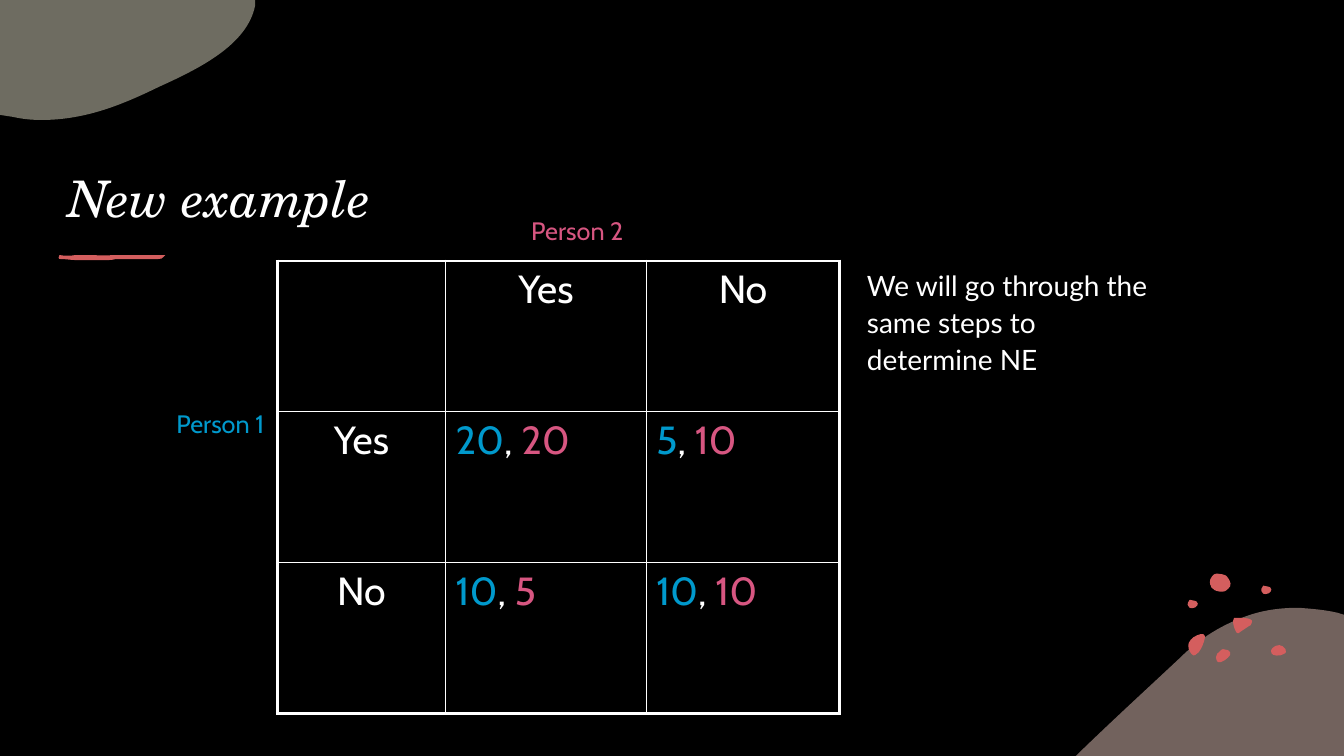
from lxml import etree
from pptx import Presentation
from pptx.dml.color import RGBColor
from pptx.enum import text
from pptx.oxml import ns
from pptx.util import Inches, Pt

WHITE, BLUE, PINK, CORAL = "FFFFFF", "0099CC", "D75681", "D45E5E"
rgb = RGBColor.from_string

prs = Presentation()
prs.slide_width, prs.slide_height = Inches(13.33), Inches(7.5)
s = prs.slides.add_slide(prs.slide_layouts[6])
s.background.fill.solid()
s.background.fill.fore_color.rgb = rgb("000000")


def add_blob(shapes, start, segments, color, alpha=None, dx=0, dy=0):
    """Segments hold one point for a line, three for a cubic curve."""
    points = [start]
    for seg in segments:
        points += zip(seg[::2], seg[1::2])
    emu = [(Inches(x + dx), Inches(y + dy)) for x, y in points]
    fb = shapes.build_freeform(*emu[0])
    fb.add_line_segments(emu[1:], close=True)
    sp = fb.convert_to_shape()
    sp.shadow.inherit = False
    sp.fill.solid()
    sp.fill.fore_color.rgb = rgb(color)
    sp.line.fill.background()
    # Turn each run of three points into one curve
    lines = iter(list(sp._element.iter(ns.qn("a:lnTo"))))
    for seg in segments:
        first = next(lines)
        if len(seg) == 6:
            first.tag = ns.qn("a:cubicBezTo")
            for extra in (next(lines), next(lines)):
                first.append(extra[0])
                extra.getparent().remove(extra)
    if alpha:
        clr = sp.fill._xPr.find(".//" + ns.qn("a:srgbClr"))
        etree.SubElement(clr, ns.qn("a:alpha"), val=str(alpha * 1000))


def add_runs(p, runs, size, font, italic=False):
    for words, color in runs:
        r = p.add_run()
        r.text = words
        r.font.size, r.font.name, r.font.italic = Pt(size), font, italic
        r.font.color.rgb = rgb(color)


# Bottom right blob
add_blob(s.shapes, (12.88, 6.03), [
    (13.01, 6.04, 13.14, 6.05, 13.27, 6.08), (13.33, 6.1), (13.33, 7.5), (10.67, 7.5),
    (11.02, 7.16, 11.37, 6.84, 11.69, 6.54), (11.91, 6.32, 12.14, 6.19, 12.37, 6.11),
    (12.54, 6.05, 12.71, 6.03, 12.88, 6.03)], "E5C4BA", 50)

# Coral spots
spots = [
    ((12.13, 6.44), [
        (12.15, 6.44, 12.16, 6.44, 12.18, 6.45), (12.2, 6.46, 12.21, 6.48, 12.2, 6.5),
        (12.18, 6.53, 12.12, 6.58, 12.08, 6.57), (12.07, 6.56, 12.06, 6.54, 12.06, 6.52),
        (12.06, 6.5, 12.08, 6.47, 12.1, 6.46), (12.11, 6.45, 12.12, 6.44, 12.13, 6.44)]),
    ((11.91, 6.29), [
        (11.93, 6.29, 11.95, 6.29, 11.95, 6.31), (11.95, 6.32, 11.95, 6.32, 11.95, 6.33),
        (11.94, 6.38, 11.92, 6.43, 11.89, 6.47), (11.87, 6.49, 11.84, 6.52, 11.82, 6.49),
        (11.79, 6.46, 11.78, 6.41, 11.79, 6.38), (11.8, 6.35, 11.82, 6.34, 11.84, 6.32),
        (11.85, 6.32, 11.88, 6.29, 11.91, 6.29)]),
    ((12.69, 6.4), [
        (12.71, 6.4, 12.74, 6.42, 12.75, 6.44), (12.76, 6.46, 12.76, 6.48, 12.73, 6.49),
        (12.7, 6.51, 12.62, 6.51, 12.61, 6.48), (12.6, 6.46, 12.61, 6.44, 12.62, 6.43),
        (12.64, 6.41, 12.66, 6.4, 12.69, 6.4)]),
    ((12.01, 5.81), [
        (12, 5.81, 11.99, 5.75, 12.02, 5.72), (12.04, 5.7, 12.04, 5.69, 12.07, 5.69),
        (12.1, 5.69, 12.14, 5.7, 12.16, 5.71), (12.18, 5.73, 12.22, 5.78, 12.2, 5.82),
        (12.17, 5.85, 12.16, 5.87, 12.12, 5.87), (12.09, 5.87, 12.04, 5.86, 12.03, 5.84),
        (12.01, 5.83, 12.01, 5.82, 12.01, 5.81)]),
    ((12.28, 6.13), [
        (12.34, 6.13, 12.45, 6.13, 12.41, 6.19), (12.41, 6.2, 12.4, 6.21, 12.39, 6.21),
        (12.36, 6.23, 12.33, 6.25, 12.3, 6.27), (12.29, 6.28, 12.28, 6.29, 12.27, 6.28),
        (12.27, 6.28, 12.26, 6.27, 12.26, 6.27), (12.24, 6.23, 12.23, 6.2, 12.23, 6.16),
        (12.23, 6.15, 12.23, 6.14, 12.24, 6.13), (12.25, 6.13, 12.27, 6.13, 12.28, 6.13)]),
]
spot_group = s.shapes.add_group_shape()
for start, segments in spots:
    add_blob(spot_group.shapes, start, segments, CORAL)
for dx, dy in [(0, 0), (-0.73, 0.14)]:
    add_blob(spot_group.shapes, (12.51, 5.86), [
        (12.51, 5.86, 12.51, 5.82, 12.53, 5.81), (12.55, 5.81, 12.56, 5.81, 12.58, 5.82),
        (12.59, 5.82, 12.61, 5.83, 12.61, 5.85), (12.61, 5.86, 12.6, 5.88, 12.59, 5.88),
        (12.59, 5.88, 12.59, 5.89, 12.57, 5.89), (12.56, 5.89, 12.54, 5.9, 12.53, 5.89),
        (12.52, 5.87, 12.51, 5.87, 12.51, 5.86)], CORAL, dx=dx, dy=dy)

# Top left blob
add_blob(s.shapes, (0, 0), [
    (2.53, 0), (2.53, 0.06), (2.45, 0.44, 2, 0.67, 1.58, 0.86),
    (1.23, 1.03, 0.86, 1.19, 0.41, 1.19), (0.31, 1.19, 0.22, 1.18, 0.13, 1.16),
    (0, 1.14), (0, 0)], "DCD9C3", 50)

# Brush stroke under the title
add_blob(s.shapes, (0.86, 2.58), [
    (0.92, 2.58), (0.94, 2.58, 1.05, 2.58, 1.07, 2.58), (1.09, 2.58, 1.12, 2.58, 1.15, 2.57),
    (1.24, 2.57), (1.33, 2.57), (1.35, 2.57, 1.48, 2.57, 1.49, 2.57), (1.57, 2.57),
    (1.63, 2.57, 1.61, 2.54, 1.64, 2.53), (1.61, 2.53, 1.59, 2.53, 1.57, 2.53),
    (1.51, 2.53, 1.38, 2.53, 1.33, 2.53), (1.27, 2.53, 1.17, 2.53, 1.11, 2.53),
    (1.06, 2.54, 0.94, 2.53, 0.88, 2.53), (0.77, 2.53), (0.75, 2.53),
    (0.7, 2.54, 0.64, 2.54, 0.59, 2.53), (0.58, 2.54, 0.57, 2.58, 0.61, 2.57),
    (0.65, 2.57, 0.71, 2.58, 0.75, 2.58), (0.79, 2.58)], CORAL)

# Title, note and player labels
boxes = [
    (0.58, 0.86, 11.02, 1.45, "New example", 36, "TeX Gyre Schola", WHITE),
    (8.5, 2.58, 3, 4.67, "We will go through the same steps to determine NE", 20, "Lato", WHITE),
    (1.65, 4, 1.18, 0.4, "Person 1", 18, "Cabin", BLUE),
    (5.17, 2.09, 1.42, 0.4, "Person 2", 18, "Cabin", PINK),
]
for x, y, w, h, words, size, font, color in boxes:
    tf = s.shapes.add_textbox(Inches(x), Inches(y), Inches(w), Inches(h)).text_frame
    tf.word_wrap = True
    is_title = size == 36
    if is_title:
        tf.vertical_anchor = text.MSO_ANCHOR.BOTTOM
    p = tf.paragraphs[0]
    if size == 20:
        p.line_spacing = 1.1
    add_runs(p, [(words, color)], size, font, is_title)

# Payoff table
payoffs = [["", "Yes", "No"],
           ["Yes", (20, 20), (5, 10)],
           ["No", (10, 5), (10, 10)]]
table = s.shapes.add_table(3, 3, Inches(2.75), Inches(2.59), Inches(5.58), Inches(4.49)).table
table.first_row = table.horz_banding = False
for col, width in zip(table.columns, (1.67, 1.99, 1.92)):
    col.width = Inches(width)
for row, height in zip(table.rows, (1.49, 1.5, 1.5)):
    row.height = Inches(height)
for i, values in enumerate(payoffs):
    for j, value in enumerate(values):
        cell = table.cell(i, j)
        cell.fill.background()
        p = cell.text_frame.paragraphs[0]
        if isinstance(value, tuple):
            runs = [(str(value[0]), BLUE), (", ", WHITE), (str(value[1]), PINK)]
        else:
            p.alignment = text.PP_ALIGN.CENTER
            runs = [(value, WHITE)] if value else []
        add_runs(p, runs, 28, "Cabin")
        # Thick outer frame, thin inner grid
        edges = [("L", j == 0), ("R", j == 2), ("T", i == 0), ("B", i == 2)]
        for k, (side, outer) in enumerate(edges):
            ln = etree.Element(ns.qn("a:ln" + side), w=str(Pt(2.25 if outer else 1)))
            fill = etree.SubElement(ln, ns.qn("a:solidFill"))
            etree.SubElement(fill, ns.qn("a:srgbClr"), val=WHITE)
            cell._tc.get_or_add_tcPr().insert(k, ln)

prs.save("out.pptx")
